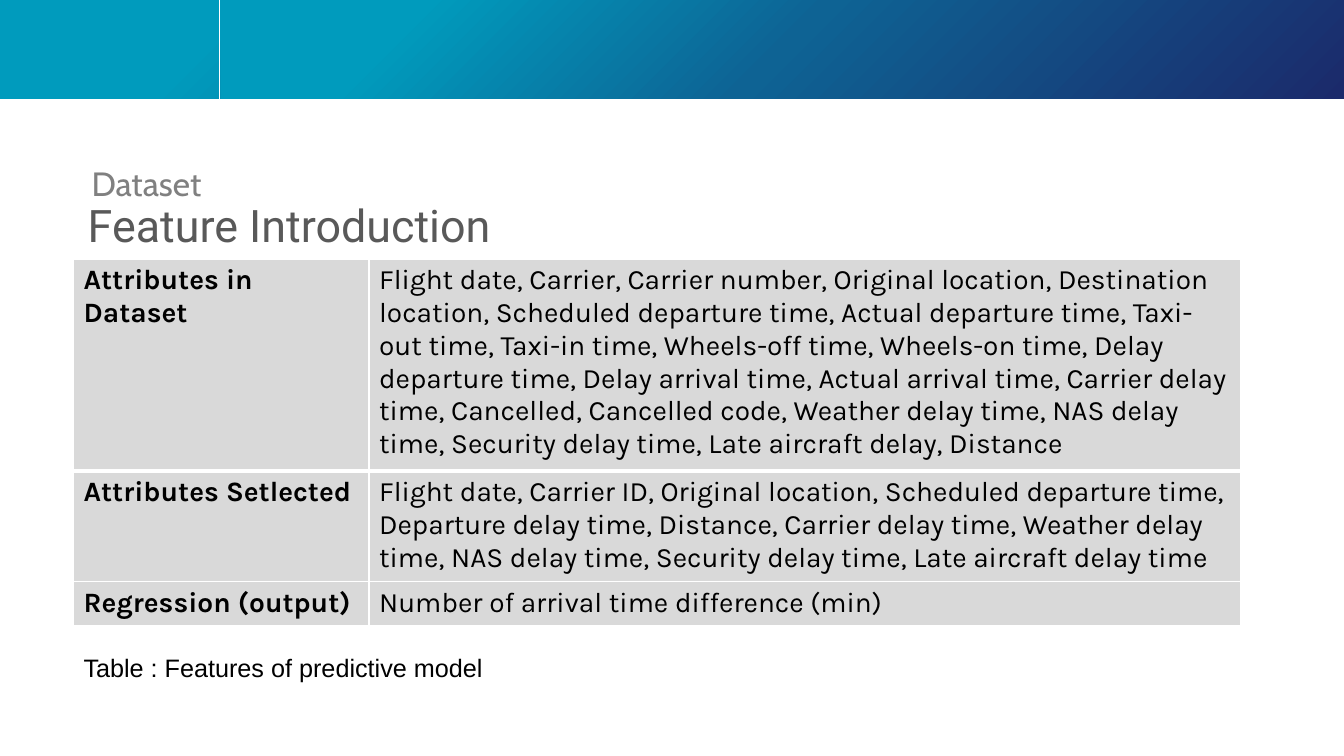
from copy import deepcopy
from dataclasses import dataclass

from lxml.etree import SubElement
from pptx import Presentation
from pptx.dml.color import RGBColor as RGB
from pptx.enum.shapes import MSO_CONNECTOR as Link, MSO_SHAPE as Kind
from pptx.enum.text import MSO_ANCHOR as Anchor, MSO_AUTO_SIZE as Fit, PP_ALIGN as Align
from pptx.oxml.ns import qn
from pptx.util import Inches, Pt


@dataclass(frozen=True)
class Theme:
    white: str = "FFFFFF"
    black: str = "000000"
    gray: str = "D9D9D9"
    dark: str = "595959"
    mid: str = "808080"
    fade: tuple = ((0.17, "009BBD"), (0.5, "0E6394"), (1, "1B2A6B"))
    title: int = 32
    kicker: int = 24
    cell: int = 20
    note: int = 18


@dataclass(frozen=True)
class Box:
    left: float
    top: float
    width: float
    height: float

    def emu(self) -> tuple:
        return tuple(Inches(v) for v in (self.left, self.top, self.width, self.height))


@dataclass(frozen=True)
class Row:
    label: str
    text: str
    height: float


THEME = Theme()
BAND = 0.98
BANDS = (Box(0, 0, 13.33, BAND), Box(2.19, 0, 11.14, BAND))
COLS = (2.93, 8.64)
ROWS = (
    Row("Attributes in Dataset",
        "Flight date, Carrier, Carrier number, Original location, Destination location, "
        "Scheduled departure time, Actual departure time, Taxi-out time, Taxi-in time, "
        "Wheels-off time, Wheels-on time, Delay departure time, Delay arrival time, "
        "Actual arrival time, Carrier delay time, Cancelled, Cancelled code, "
        "Weather delay time, NAS delay time, Security delay time, Late aircraft delay, "
        "Distance", 2.05),
    Row("Attributes Setlected",
        "Flight date, Carrier ID, Original location, Scheduled departure time, "
        "Departure delay time, Distance, Carrier delay time, Weather delay time, "
        "NAS delay time, Security delay time, Late aircraft delay time", 1.07),
    Row("Regression (output)", "Number of arrival time difference (min)", 0.42),
)


def write(frame, text: str, *, size: int, font: str, color: str, bold: bool = False) -> None:
    frame.word_wrap = True
    para = frame.paragraphs[0]
    para.alignment = Align.LEFT
    run = para.add_run()
    run.text = text
    run.font.size = Pt(size)
    run.font.name = font
    run.font.bold = bold
    run.font.color.rgb = RGB.from_string(color)


def add_band(slide, box: Box) -> None:
    band = slide.shapes.add_shape(Kind.RECTANGLE, *box.emu())
    band.shadow.inherit = False
    band.line.fill.background()
    band.fill.gradient()
    band.fill.gradient_angle = 315
    stops = band._element.spPr.find(qn("a:gradFill")).find(qn("a:gsLst"))
    stops.append(deepcopy(stops[-1]))
    for stop, (place, color) in zip(band.fill.gradient_stops, THEME.fade):
        stop.position = place
        stop.color.rgb = RGB.from_string(color)


def add_rule(slide, left: float) -> None:
    rule = slide.shapes.add_connector(
        Link.STRAIGHT, Inches(left), 0, Inches(left), Inches(BAND))
    rule.line.color.rgb = RGB.from_string(THEME.white)
    rule.line.width = Pt(0.5)
    SubElement(rule._element.spPr, qn("a:effectLst"))


def set_edges(cell, top: int, bottom: int) -> None:
    props = cell._tc.get_or_add_tcPr()
    for tag, width in (("lnL", 1), ("lnR", 1), ("lnT", top), ("lnB", bottom)):
        edge = SubElement(props, qn(f"a:{tag}"), w=str(Pt(width)))
        fill = SubElement(edge, qn("a:solidFill"))
        SubElement(fill, qn("a:srgbClr"), val=THEME.white)


def add_grid(slide, left: float, top: float) -> None:
    box = Box(left, top, sum(COLS), sum(row.height for row in ROWS))
    grid = slide.shapes.add_table(len(ROWS), len(COLS), *box.emu()).table
    for col, width in zip(grid.columns, COLS):
        col.width = Inches(width)
    for r, row in enumerate(ROWS):
        grid.rows[r].height = Inches(row.height)
        for c, text in enumerate((row.label, row.text)):
            cell = grid.cell(r, c)
            set_edges(cell, 3 if r == 1 else 1, 3 if r == 0 else 1)
            cell.fill.solid()
            cell.fill.fore_color.rgb = RGB.from_string(THEME.gray)
            write(cell.text_frame, text, size=THEME.cell, font="Karla",
                  color=THEME.black, bold=c == 0)


def add_text(slide, box: Box, text: str, **style) -> None:
    write(slide.shapes.add_textbox(*box.emu()).text_frame, text, **style)


def set_title(slide, box: Box, text: str) -> None:
    title = slide.shapes.title
    title.left, title.top, title.width, title.height = box.emu()
    frame = title.text_frame
    frame.auto_size = Fit.NONE
    frame.vertical_anchor = Anchor.TOP
    write(frame, text, size=THEME.title, font="Roboto", color=THEME.dark)


def main() -> None:
    deck = Presentation()
    deck.slide_width, deck.slide_height = Inches(13.33), Inches(7.5)
    slide = deck.slides.add_slide(deck.slide_layouts[5])

    # Header band
    full, right = BANDS
    add_band(slide, full)
    add_rule(slide, 2.18)
    add_band(slide, right)

    # Headings
    set_title(slide, Box(0.77, 1.91, 7.88, 0.64), "Feature Introduction")
    add_text(slide, Box(0.81, 1.57, 2.2, 0.5), "Dataset",
             size=THEME.kicker, font="Cabin", color=THEME.mid)

    # Feature table and caption
    add_grid(slide, 0.73, 2.57)
    add_text(slide, Box(0.73, 6.42, 5.18, 0.4), "Table : Features of predictive model",
             size=THEME.note, font="Arial", color=THEME.black)

    deck.save("out.pptx")


if __name__ == "__main__":
    main()
